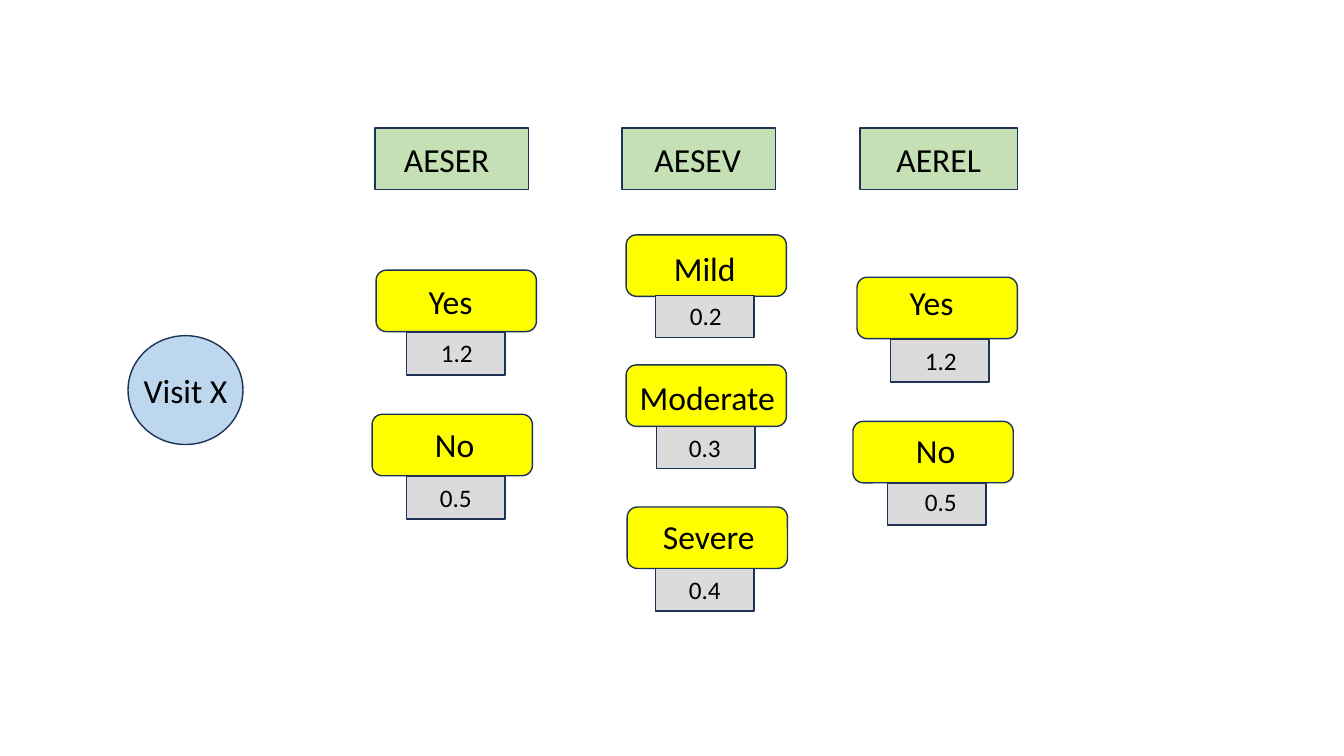
from dataclasses import dataclass
from typing import NamedTuple

from pptx import Presentation as Deck
from pptx.dml.color import RGBColor as Rgb
from pptx.enum.shapes import MSO_SHAPE as Form
from pptx.enum.text import MSO_AUTO_SIZE as Fit, PP_ALIGN as Align
from pptx.util import Inches, Pt


@dataclass(frozen=True)
class Theme:
    font: str = "Calibri"
    ink: str = "000000"
    edge: str = "1E3256"
    green: str = "C5E0B4"
    blue: str = "BDD7EE"
    yellow: str = "FFFF00"
    grey: str = "DBDBDB"
    large: int = 24
    small: int = 18
    stroke: int = 1


class Kind(NamedTuple):
    form: Form
    fill: str
    wide: float
    high: float
    size: int
    span: float
    rise: float


class Node(NamedTuple):
    kind: Kind
    col: float
    row: float
    text: str
    dx: float = 0
    dy: float = 0
    wide: float = 0
    span: float = 0


ROWS = 75
look = Theme()
HEAD = Kind(Form.RECTANGLE, look.green, 15.2, 6.1, look.large, 13.4, 5)
VISIT = Kind(Form.OVAL, look.blue, 11.4, 10.8, look.large, 11.4, 5)
GRADE = Kind(Form.ROUNDED_RECTANGLE, look.yellow, 15.9, 6.1, look.large, 15.6, 5)
SCORE = Kind(Form.RECTANGLE, look.grey, 9.8, 4.2, look.small, 9.8, 4)

NODES = [
    Node(VISIT, 12.7, 33.3, "Visit X", dy=2.9),
    Node(HEAD, 37.2, 12.7, "AESER", -0.5, 0.6, span=15.6),
    Node(HEAD, 61.7, 12.7, "AESEV", -0.1, 0.6),
    Node(HEAD, 85.3, 12.7, "AEREL", 0, 0.6, wide=15.6),
    Node(GRADE, 37.3, 26.8, "Yes", -0.55, 0.6),
    Node(GRADE, 36.9, 41.1, "No", 0.25, 0.5),
    Node(GRADE, 62.1, 23.3, "Mild", -0.15, 0.8),
    Node(GRADE, 62.1, 36.2, "Moderate", 0.1, 0.7, span=18.3),
    Node(GRADE, 62.2, 50.3, "Severe", 0.15, 0.4),
    Node(GRADE, 85, 27.5, "Yes", -0.55, 0),
    Node(GRADE, 84.6, 41.8, "No", 0.25, 0.4),
    Node(SCORE, 40.3, 33, "1.2", 0.1, 0),
    Node(SCORE, 40.3, 47.3, "0.5", 0, 0.1),
    Node(SCORE, 65, 29.3, "0.2", 0.1, 0),
    Node(SCORE, 65.1, 42.3, "0.3", -0.1, 0.1),
    Node(SCORE, 65, 56.4, "0.4", 0, 0.1),
    Node(SCORE, 88.3, 33.7, "1.2", 0.1, 0.1),
    Node(SCORE, 88, 47.9, "0.5", 0.4, -0.1),
]

deck = Deck()
deck.slide_width, deck.slide_height = Inches(13.33), Inches(7.5)
slide = deck.slides.add_slide(deck.slide_layouts[6])


def grid(*cells: float) -> list[int]:
    return [round(cell * deck.slide_height / ROWS) for cell in cells]


def box(node: Node) -> None:
    kind = node.kind
    wide = node.wide or kind.wide
    shape = slide.shapes.add_shape(kind.form, *grid(node.col, node.row, wide, kind.high))
    shape.shadow.inherit = False
    shape.fill.solid()
    shape.fill.fore_color.rgb = Rgb.from_string(kind.fill)
    shape.line.color.rgb = Rgb.from_string(look.edge)
    shape.line.width = Pt(look.stroke)


def label(node: Node) -> None:
    kind = node.kind
    span = node.span or kind.span
    left = node.col + ((node.wide or kind.wide) - span) / 2 + node.dx
    area = grid(left, node.row + node.dy, span, kind.rise)
    frame = slide.shapes.add_textbox(*area).text_frame
    frame.word_wrap = True
    frame.auto_size = Fit.SHAPE_TO_FIT_TEXT
    frame.text = node.text
    line = frame.paragraphs[0]
    line.alignment = Align.CENTER
    font = line.runs[0].font
    font.name, font.size = look.font, Pt(kind.size)
    font.color.rgb = Rgb.from_string(look.ink)


for node in NODES:
    box(node)
    label(node)

deck.save("out.pptx")
